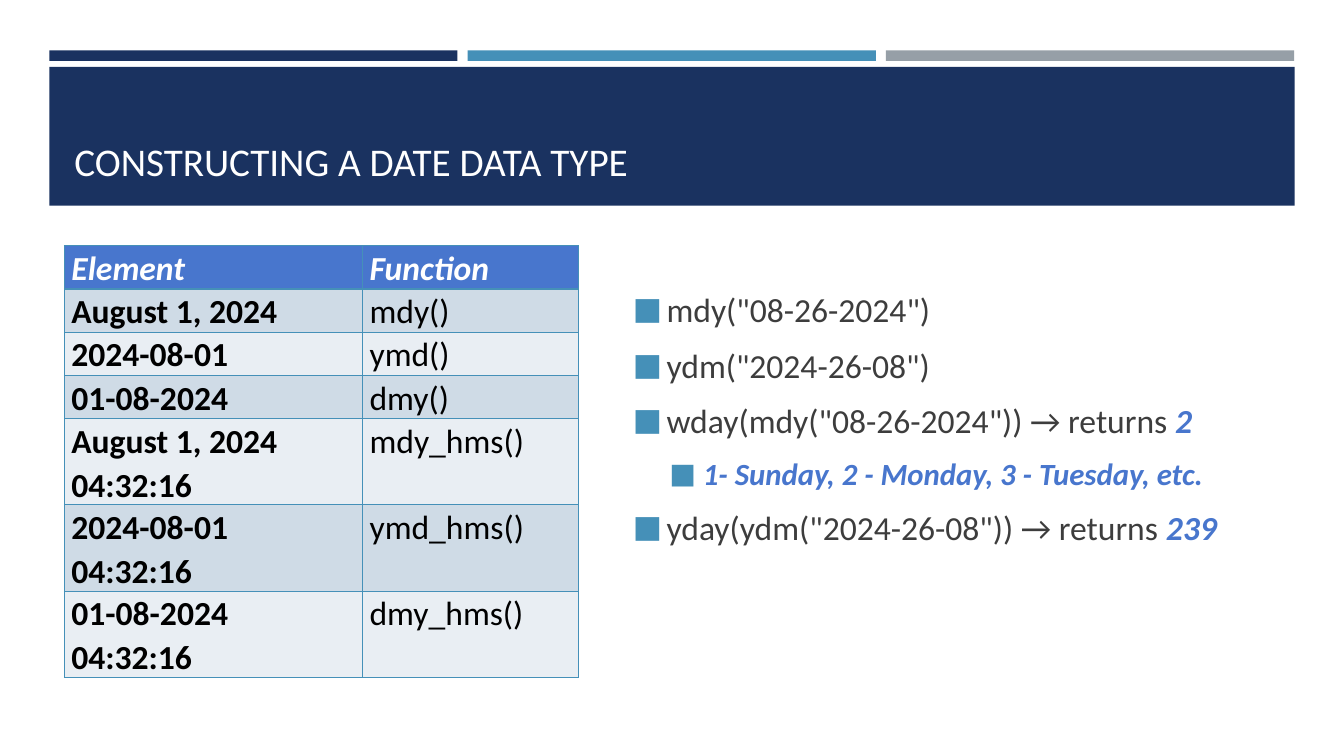
from lxml.etree import SubElement
from pptx import Presentation
from pptx.dml.color import RGBColor as Rgb
from pptx.enum.shapes import MSO_SHAPE as Shape
from pptx.enum.text import MSO_ANCHOR as Anchor
from pptx.oxml.ns import qn
from pptx.util import Pt

COLOURS = {
    "navy": "1A3260", "teal": "4590B8", "grey": "969FA7", "blue": "4876CD",
    "white": "FFFFFF", "black": "000000", "ink": "3D3D3D",
    "row_dark": "CFDBE6", "row_light": "E9EEF3",
}

FORMATS = {
    "title": {"size": 28, "colour": "white"},
    "header": {"size": 24, "colour": "white", "bold": True, "italic": True},
    "element": {"size": 24, "colour": "black", "bold": True},
    "function": {"size": 24, "colour": "black", "bold": False},
    "body": {"size": 24, "colour": "ink"},
    "result": {"size": 24, "colour": "blue", "bold": True, "italic": True},
    "detail": {"size": 22, "colour": "blue", "bold": True, "italic": True},
}

DATE_FUNCTIONS = [
    ("Element", "Function"),
    ("August 1, 2024", "mdy()"),
    ("2024-08-01", "ymd()"),
    ("01-08-2024", "dmy()"),
    ("August 1, 2024 04:32:16", "mdy_hms()"),
    ("2024-08-01 04:32:16", "ymd_hms()"),
    ("01-08-2024 04:32:16", "dmy_hms()"),
]

# Each example is its level followed by its (text, format) spans.
EXAMPLES = [
    (0, [('mdy("08-26-2024")', "body")]),
    (0, [('ydm("2024-26-08")', "body")]),
    (0, [('wday(mdy("08-26-2024")) → returns ', "body"), ("2", "result")]),
    (1, [("1- Sunday, 2 - Monday, 3 - Tuesday, etc.", "detail")]),
    (0, [('yday(ydm("2024-26-08")) → returns ', "body"), ("239", "result")]),
]


class Page:
    font = "Calibri"

    def __init__(self, deck):
        self.slide = deck.slides.add_slide(deck.slide_layouts[6])
        self.shapes = self.slide.shapes

    def fill(self, target, colour):
        target.fill.solid()
        target.fill.fore_color.rgb = Rgb.from_string(COLOURS[colour])

    def bar(self, left, top, width, height, colour):
        bar = self.shapes.add_shape(Shape.RECTANGLE, Pt(left), Pt(top), Pt(width), Pt(height))
        bar.shadow.inherit = False
        bar.line.fill.background()
        self.fill(bar, colour)

    def span(self, para, text, style):
        span = para.add_run()
        span.text = text
        values = dict(FORMATS[style], name=self.font)
        values["size"] = Pt(values["size"])
        span.font.color.rgb = Rgb.from_string(COLOURS[values.pop("colour")])
        for name, value in values.items():
            setattr(span.font, name, value)

    def text_box(self, left, top, width, height, anchor):
        box = self.shapes.add_textbox(Pt(left), Pt(top), Pt(width), Pt(height))
        frame = box.text_frame
        frame.word_wrap = True
        frame.vertical_anchor = anchor
        return frame

    def title(self, text, left, top, width, height):
        frame = self.text_box(left, top, width, height, Anchor.BOTTOM)
        self.span(frame.paragraphs[0], text, "title")

    def bullet(self, para, level):
        para.level = level
        para.space_after = Pt(6)
        props = para._p.get_or_add_pPr()
        props.set("marL", str(Pt(24 + 26 * level)))
        props.set("indent", str(Pt(-24)))
        colour = SubElement(props, qn("a:buClr"))
        SubElement(colour, qn("a:srgbClr"), val=COLOURS["teal"])
        SubElement(props, qn("a:buSzPct"), val="92000")
        SubElement(props, qn("a:buFont"), typeface=self.font)
        SubElement(props, qn("a:buChar"), char="■")

    def bullets(self, items, left, top, width, height):
        frame = self.text_box(left, top, width, height, Anchor.MIDDLE)
        frame.margin_bottom = Pt(43)
        for index, (level, spans) in enumerate(items):
            para = frame.add_paragraph() if index else frame.paragraphs[0]
            self.bullet(para, level)
            para.space_before = Pt(0.2 * FORMATS[spans[0][1]]["size"])
            for text, style in spans:
                self.span(para, text, style)

    def borders(self, cell):
        props = cell._tc.get_or_add_tcPr()
        for side in ("lnL", "lnR", "lnT", "lnB"):
            line = SubElement(props, qn(f"a:{side}"), w=str(Pt(1)))
            paint = SubElement(line, qn("a:solidFill"))
            SubElement(paint, qn("a:srgbClr"), val=COLOURS["teal"])

    def cell(self, cell, text, style, fill):
        self.borders(cell)
        self.fill(cell, fill)
        margins = {"margin_left": 5, "margin_right": 5, "margin_top": 0, "margin_bottom": 0}
        for name, value in margins.items():
            setattr(cell, name, Pt(value))
        para = cell.text_frame.paragraphs[0]
        para.line_spacing = 1.07
        self.span(para, text, style)

    def table(self, rows, left, top, widths, row_height):
        table = self.shapes.add_table(
            len(rows), len(widths), Pt(left), Pt(top),
            Pt(sum(widths)), Pt(row_height * len(rows))).table
        for column, width in zip(table.columns, widths):
            column.width = Pt(width)
        for r, texts in enumerate(rows):
            table.rows[r].height = Pt(row_height)
            fill = ("row_light", "row_dark")[r % 2] if r else "blue"
            for c, text in enumerate(texts):
                style = ("element", "function")[c] if r else "header"
                self.cell(table.cell(r, c), text, style, fill)


def main():
    deck = Presentation()
    deck.slide_width, deck.slide_height = Pt(960), Pt(540)
    page = Page(deck)
    for index, colour in enumerate(("navy", "teal", "grey")):
        page.bar(35.2 + 298.8 * index, 36, 291.6, 7.5, colour)
    page.bar(35.2, 47.8, 889.6, 99.2, "navy")
    page.title("CONSTRUCTING A DATE DATA TYPE", 46, 57.6, 868, 78)
    page.table(DATE_FUNCTIONS, 46, 175.6, (213, 154), 28)
    page.bullets(EXAMPLES, 445, 175.6, 469.5, 286)
    deck.save("out.pptx")


if __name__ == "__main__":
    main()
